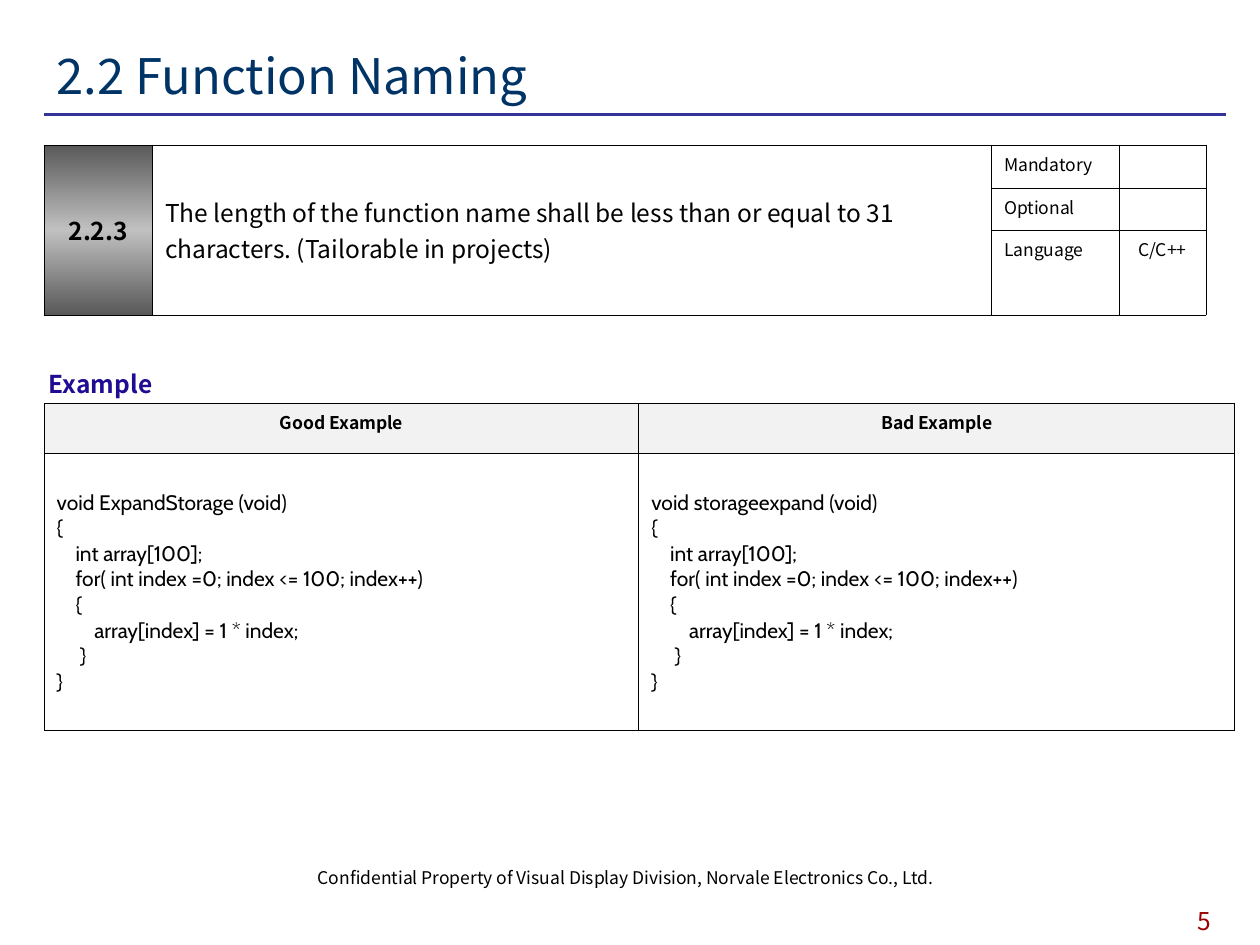
from lxml.etree import SubElement
from pptx import Presentation
from pptx.dml.color import RGBColor
from pptx.enum.shapes import MSO_CONNECTOR
from pptx.enum.text import MSO_ANCHOR as Anchor, PP_ALIGN as Align
from pptx.oxml import parse_xml
from pptx.oxml.ns import nsdecls, qn
from pptx.util import Inches, Pt

SANS = "Noto Sans CJK KR"
CODE_FONT = "Cabin"
BLACK = RGBColor(0x00, 0x00, 0x00)
NAVY = RGBColor(0x00, 0x33, 0x66)
RULE_BLUE = RGBColor(0x33, 0x33, 0x99)
INDIGO = RGBColor(0x1F, 0x0C, 0x92)
DARK_RED = RGBColor(0x99, 0x00, 0x00)
HEADER_GRAY = RGBColor(0xF2, 0xF2, 0xF2)
DARK_GRAY = RGBColor(0x59, 0x59, 0x59)
SILVER = RGBColor(0xC0, 0xC0, 0xC0)

LEFT = 0.35
LOOP_BODY = """{
    int array[100];
    for( int index =0; index <= 100; index++)
    {
        array[index] = 1 * index;
     }
}"""
EXAMPLES = {
    "Good Example": "void ExpandStorage (void)\n" + LOOP_BODY,
    "Bad Example": "void storageexpand (void)\n" + LOOP_BODY,
}
ATTRIBUTES = [("Mandatory", ""), ("Optional", ""), ("Language", "C/C++")]


def write(frame, text, size, color=BLACK, bold=False, align=Align.LEFT, font=SANS):
    frame.text = text
    for paragraph in frame.paragraphs:
        paragraph.alignment = align
        paragraph.font.name = font
        paragraph.font.size = Pt(size)
        paragraph.font.bold = bold
        paragraph.font.color.rgb = color


def add_label(slide, box, text, size, **style):
    frame = slide.shapes.add_textbox(*map(Inches, box)).text_frame
    frame.word_wrap = True
    write(frame, text, size, **style)


def add_title(slide, text):
    title = slide.shapes.title
    title.left, title.top, title.width, title.height = map(Inches, (LEFT, 0.28, 9.37, 0.63))
    title.text_frame.vertical_anchor = Anchor.MIDDLE
    write(title.text_frame, text, 28, color=NAVY)


def add_title_rule(slide):
    rule = slide.shapes.add_connector(
        MSO_CONNECTOR.STRAIGHT, Inches(LEFT), Inches(0.91), Inches(9.73), Inches(0.91))
    rule.line.color.rgb = RULE_BLUE
    rule.line.width = Pt(2)
    SubElement(rule._element.spPr, qn("a:effectLst"))


def set_borders(cell, width):
    properties = cell._tc.get_or_add_tcPr()
    for side in ("lnL", "lnR", "lnT", "lnB"):
        properties.append(parse_xml(
            f'<a:{side} {nsdecls("a")} w="{Pt(width)}"><a:solidFill>'
            f'<a:srgbClr val="{BLACK}"/></a:solidFill></a:{side}>'))


def add_grid(slide, top, widths, heights, border):
    table = slide.shapes.add_table(
        len(heights), len(widths), Inches(LEFT), Inches(top),
        Inches(sum(widths)), Inches(sum(heights))).table
    table.first_row = table.horz_banding = False
    for column, width in zip(table.columns, widths):
        column.width = Inches(width)
    for row, height in zip(table.rows, heights):
        row.height = Inches(height)
    for cell in table.iter_cells():
        set_borders(cell, border)
        cell.fill.background()
    return table


def fill_cell(cell, text, size, anchor=Anchor.TOP, **style):
    cell.vertical_anchor = anchor
    write(cell.text_frame, text, size, **style)


def shade_metallic(cell):
    properties = cell._tc.get_or_add_tcPr()
    properties.remove(properties.find(qn("a:noFill")))
    stops = "".join(
        f'<a:gs pos="{share * 1000}"><a:srgbClr val="{color}"/></a:gs>'
        for share, color in ((0, DARK_GRAY), (50, SILVER), (100, DARK_GRAY)))
    properties.append(parse_xml(
        f'<a:gradFill {nsdecls("a")}><a:gsLst>{stops}</a:gsLst>'
        '<a:lin ang="5400000" scaled="0"/></a:gradFill>'))


def add_rule_table(slide):
    table = add_grid(slide, 1.15, (0.86, 6.66, 1.01, 0.69), (0.34, 0.34, 0.67), 0.23)
    for column in (0, 1):
        table.cell(0, column).merge(table.cell(2, column))
    number, statement = table.cell(0, 0), table.cell(0, 1)
    shade_metallic(number)
    fill_cell(number, "2.2.3", 14, Anchor.MIDDLE, bold=True, align=Align.CENTER)
    fill_cell(statement, "The length of the function name shall be less than or equal to 31 "
              "characters. (Tailorable in projects)", 14, Anchor.MIDDLE)
    for row, (attribute, value) in enumerate(ATTRIBUTES):
        fill_cell(table.cell(row, 2), attribute, 10)
        fill_cell(table.cell(row, 3), value, 10, align=Align.CENTER)


def add_example_table(slide):
    table = add_grid(slide, 3.2, (4.72, 4.73), (0.4, 2.2), 0.45)
    for column, (heading, code) in enumerate(EXAMPLES.items()):
        header = table.cell(0, column)
        header.fill.solid()
        header.fill.fore_color.rgb = HEADER_GRAY
        fill_cell(header, heading, 10, bold=True, align=Align.CENTER)
        fill_cell(table.cell(1, column), code, 12, Anchor.MIDDLE, font=CODE_FONT)


def main():
    deck = Presentation()
    deck.slide_width, deck.slide_height = Inches(10), Inches(7.5)
    slide = deck.slides.add_slide(deck.slide_layouts[5])
    add_title_rule(slide)
    add_label(slide, (2.25, 6.83, 5.43, 0.5),
              "Confidential Property of Visual Display Division, Norvale Electronics Co., Ltd.",
              10, align=Align.CENTER)
    add_label(slide, (9.12, 7.14, 0.88, 0.36), "5", 14, color=DARK_RED, align=Align.CENTER)
    add_title(slide, "2.2 Function Naming")
    add_example_table(slide)
    add_label(slide, (0.29, 2.88, 1.2, 0.3), "Example", 14, color=INDIGO, bold=True)
    add_rule_table(slide)
    deck.save("out.pptx")


if __name__ == "__main__":
    main()
